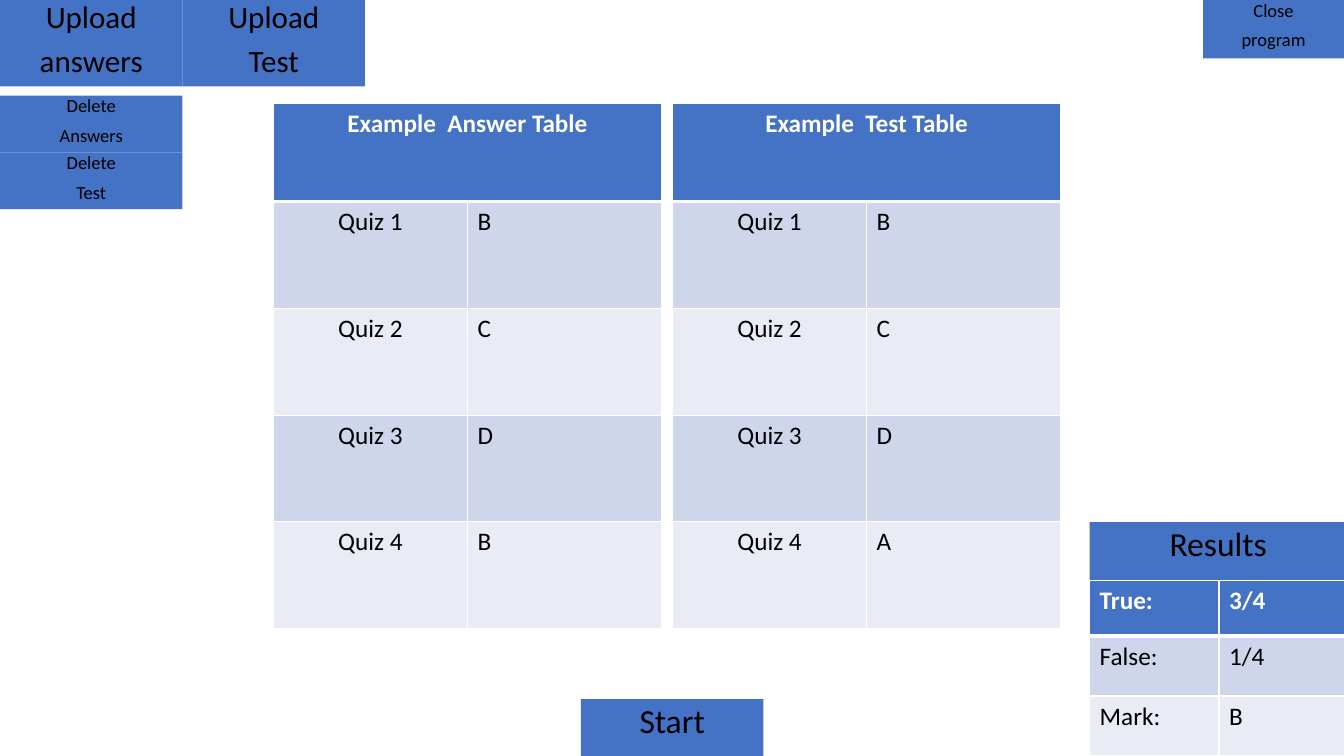
from dataclasses import dataclass

import pptx
import pptx.dml.color
import pptx.enum.shapes
import pptx.enum.text
import pptx.oxml
import pptx.oxml.ns
import pptx.util

Cm, Pt = pptx.util.Cm, pptx.util.Pt
CENTER = pptx.enum.text.PP_ALIGN.CENTER
LEFT = pptx.enum.text.PP_ALIGN.LEFT
FONT = "Calibri"
COLORS = {
    "blue": "4472C4",
    "band": "CFD5EA",
    "pale": "E9EBF5",
    "white": "FFFFFF",
    "black": "000000",
}


@dataclass
class Button:
    text: str
    left: float
    top: float
    width: float
    height: float
    size: float
    spacing: float


@dataclass
class Grid:
    rows: list[list[str]]
    left: float
    top: float
    col_width: float
    head_height: float
    row_height: float
    first_col: pptx.enum.text.PP_ALIGN


def rgb(name: str) -> pptx.dml.color.RGBColor:
    return pptx.dml.color.RGBColor.from_string(COLORS[name])


def style_runs(p, size: float, color: str, bold: bool = False) -> None:
    for r in p.runs:
        r.font.name = FONT
        r.font.size = Pt(size)
        r.font.bold = bold
        r.font.color.rgb = rgb(color)


def draw_button(slide, b: Button) -> None:
    s = slide.shapes.add_shape(
        pptx.enum.shapes.MSO_SHAPE.RECTANGLE,
        Cm(b.left), Cm(b.top), Cm(b.width), Cm(b.height))
    s.shadow.inherit = False
    s.fill.solid()
    s.fill.fore_color.rgb = rgb("blue")
    s.line.fill.background()
    tf = s.text_frame
    tf.word_wrap = True
    tf.vertical_anchor = pptx.enum.text.MSO_ANCHOR.TOP
    tf.text = b.text
    for p in tf.paragraphs:
        p.alignment = CENTER
        p.line_spacing = b.spacing
        p.space_before = Pt(10)
        style_runs(p, b.size, "black")


def set_borders(cell, row: int) -> None:
    """White rules, heavier between the heading and the first row."""
    widths = {"L": 1, "R": 1, "T": 3 if row == 1 else 1, "B": 3 if row == 0 else 1}
    props = cell._tc.get_or_add_tcPr()
    for i, (side, width) in enumerate(widths.items()):
        props.insert(i, pptx.oxml.parse_xml(
            f'<a:ln{side} {pptx.oxml.ns.nsdecls("a")} w="{Pt(width)}"><a:solidFill>'
            f'<a:srgbClr val="{COLORS["white"]}"/></a:solidFill></a:ln{side}>'))


def draw_grid(slide, g: Grid) -> None:
    n = len(g.rows)
    height = g.head_height + (n - 1) * g.row_height
    table = slide.shapes.add_table(
        n, 2, Cm(g.left), Cm(g.top), Cm(2 * g.col_width), Cm(height)).table
    for col in table.columns:
        col.width = Cm(g.col_width)
    for i, texts in enumerate(g.rows):
        head = i == 0
        table.rows[i].height = Cm(g.head_height if head else g.row_height)
        if len(texts) == 1:
            table.cell(i, 0).merge(table.cell(i, 1))
        fill = "blue" if head else "band" if i % 2 else "pale"
        for j in range(2):
            cell = table.cell(i, j)
            cell.fill.solid()
            cell.fill.fore_color.rgb = rgb(fill)
            set_borders(cell, i)
            if j < len(texts):
                cell.text = texts[j]
                p = cell.text_frame.paragraphs[0]
                p.alignment = g.first_col if j == 0 else LEFT
                style_runs(p, 18, "white" if head else "black", head)


def quiz_grid(title: str, answers: str, left: float) -> Grid:
    rows = [[title]] + [[f"Quiz {i}", a] for i, a in enumerate(answers, 1)]
    return Grid(rows, left, 2.6, 4.89, 2.48, 2.69, CENTER)


# Buttons and the results panel
BUTTON_W, SMALL_H = 4.6, 1.43
BUTTONS = [
    Button("Upload\nTest", BUTTON_W, 0, BUTTON_W, 2.18, 22.2, 0.8),
    Button("Upload\nanswers", 0, 0, BUTTON_W, 2.18, 22.2, 0.8),
    Button("Delete\nAnswers", 0, 2.41, BUTTON_W, SMALL_H, 13.2, 0.7),
    Button("Delete\nTest", 0, 2.41 + SMALL_H, BUTTON_W, SMALL_H, 13.2, 0.7),
    Button("Close\nprogram", 30.32, 0, 3.55, 1.47, 13.2, 0.7),
    Button("Results", 27.46, 13.16, 6.48, 5.89, 24, 0.9),
    Button("Start", 14.64, 17.62, BUTTON_W, SMALL_H, 24, 0.9),
]

# Tables
GRIDS = [
    Grid([["True:", "3/4"], ["False:", "1/4"], ["Mark:", "B"]],
         27.46, 14.63, 3.26, 1.4, 1.51, LEFT),
    quiz_grid("Example  Test Table", "BCDA", 16.95),
    quiz_grid("Example  Answer Table", "BCDB", 6.89),
]


def main() -> None:
    prs = pptx.Presentation()
    prs.slide_width, prs.slide_height = Cm(33.87), Cm(19.05)
    slide = prs.slides.add_slide(prs.slide_layouts[6])
    for b in BUTTONS:
        draw_button(slide, b)
    for g in GRIDS:
        draw_grid(slide, g)
    prs.save("out.pptx")


if __name__ == "__main__":
    main()
